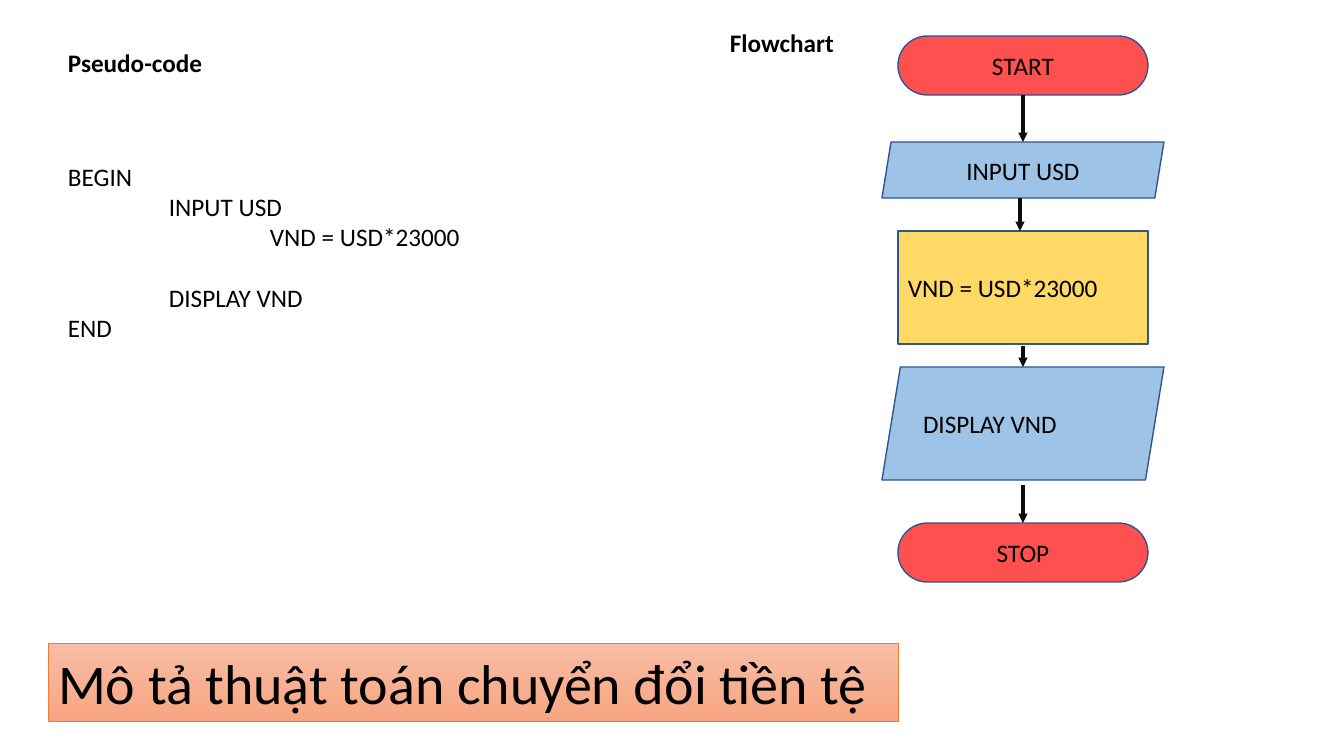
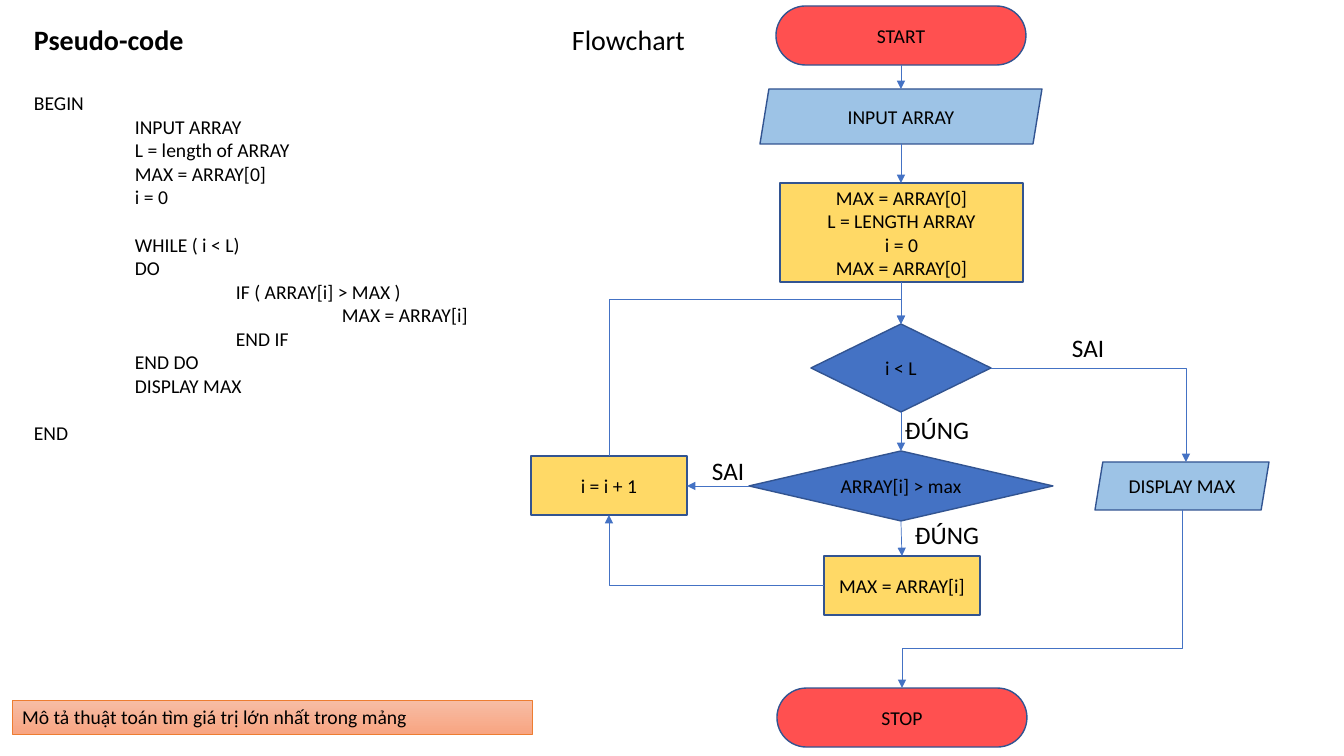
from lxml.etree import SubElement
from pptx import Presentation
from pptx.dml.color import RGBColor as RGB
from pptx.enum.shapes import MSO_CONNECTOR as LINK, MSO_SHAPE as SHAPE
from pptx.enum.text import MSO_ANCHOR as ANCHOR, MSO_AUTO_SIZE as FIT, PP_ALIGN as ALIGN
from pptx.oxml.ns import qn
from pptx.util import Pt

# Shared look
UNIT = 914400 / 100.8
TAB = 101
FONT = "Calibri"
HUE = {
    "text": "000000", "edge": "325491", "red": "FF5050", "blue": "9DC3E6",
    "gold": "FFD966", "navy": "4472C4", "ink": "0D0D0D",
    "pale": "F7BDA5", "peach": "F8A582", "rust": "ED7D31",
}
KINDS = {
    "end": (SHAPE.ROUNDED_RECTANGLE, "red", 0.5),
    "data": (SHAPE.PARALLELOGRAM, "blue", 0.163),
    "step": (SHAPE.RECTANGLE, "gold", None),
    "test": (SHAPE.DIAMOND, "navy", None),
}


def write(frame, lines, size, bold=False, align=ALIGN.LEFT):
    """Fill a frame with lines of (indent in tabs, text, space before in points)."""
    for n, (depth, text, gap) in enumerate(lines):
        para = frame.paragraphs[0] if n == 0 else frame.add_paragraph()
        para.alignment = align
        if depth:
            para._p.get_or_add_pPr().set("marL", str(round(depth * TAB * UNIT)))
        if gap:
            para.space_before = Pt(gap)
        run = para.add_run()
        run.text = text
        font = run.font
        font.name, font.size, font.bold = FONT, Pt(size), bold
        font.color.rgb = RGB.from_string(HUE["text"])


def arrow(slide, ends, hue, width, bend=None, turn=0, adj=None):
    """Draw an arrow; a bent one is framed around its centre, then turned."""
    x1, y1, x2, y2 = ends
    if bend:
        w, h = abs(x2 - x1), abs(y2 - y1)
        if turn % 180:
            w, h = h, w
        midx, midy = (x1 + x2) / 2, (y1 + y2) / 2
        x1, y1, x2, y2 = midx - w / 2, midy - h / 2, midx + w / 2, midy + h / 2
    link = slide.shapes.add_connector(
        LINK.ELBOW if bend else LINK.STRAIGHT,
        *(round(v * UNIT) for v in (x1, y1, x2, y2)))
    link.line.color.rgb = RGB.from_string(HUE[hue])
    link.line.width = Pt(width)
    SubElement(link.get_or_add_ln(), qn("a:tailEnd"), type="triangle")
    prop = link._element.spPr
    SubElement(prop, qn("a:effectLst"))
    if bend:
        prop.find(qn("a:xfrm")).set("rot", str(turn * 60000))
        geom = prop.find(qn("a:prstGeom"))
        geom.set("prst", bend)
        if adj:
            SubElement(geom.find(qn("a:avLst")), qn("a:gd"),
                       name="adj1", fmla=f"val {adj}")


# Content of each slide; places are left, top, width, height
PAGES = [
    {
        "title": ("Mô tả thuật toán chuyển đổi tiền tệ", (48, 643, 850, 78), 40),
        "size": 18,
        "code": ((58, 156, 662, 224), [
            (0, "BEGIN", 0), (1, "INPUT USD", 0), (2, "VND = USD*23000", 0),
            (1, "DISPLAY VND", 22), (0, "END", 0)]),
        "notes": [
            ("Pseudo-code", (58, 42, 155, 40), 18, True),
            ("Flowchart", (720, 22, 125, 40), 18, True)],
        "nodes": [
            ("end", (898, 36, 250, 59), ["START"], ALIGN.CENTER),
            ("data", (882, 142, 282, 56), ["INPUT USD"], ALIGN.CENTER),
            ("step", (898, 231, 250, 113), ["VND = USD*23000"], ALIGN.LEFT),
            ("data", (882, 367, 282, 113), ["DISPLAY VND"], ALIGN.LEFT),
            ("end", (898, 523, 250, 59), ["STOP"], ALIGN.CENTER)],
        "pen": ("ink", 2.25),
        "links": [
            ((1023, 95, 1023, 142),), ((1020, 198, 1020, 231),),
            ((1023, 346, 1023, 367),), ((1023, 485, 1023, 523),)],
    },
    {
        "title": ("Mô tả thuật toán tìm giá trị lớn nhất trong mảng",
                  (12, 700, 520, 34), 14),
        "size": 14,
        "code": ((24, 86, 544, 367), [
            (0, "BEGIN", 0), (1, "INPUT ARRAY", 0), (1, "L = length of ARRAY", 0),
            (1, "MAX = ARRAY[0]", 0), (1, "i = 0", 0), (1, "WHILE ( i < L)", 17),
            (1, "DO", 0), (2, "IF ( ARRAY[i] > MAX )", 0),
            (3.05, "MAX = ARRAY[i]", 0), (2, "END IF", 0), (1, "END DO", 0),
            (1, "DISPLAY MAX", 0), (0, "END", 17)]),
        "notes": [
            ("Pseudo-code", (24, 18, 173, 44), 20, True),
            ("Flowchart", (562, 18, 139, 44), 20, False),
            ("SAI", (702, 450, 58, 40), 18, False),
            ("SAI", (1062, 327, 58, 40), 18, False),
            ("ĐÚNG", (895, 409, 88, 40), 18, False),
            ("ĐÚNG", (905, 514, 88, 40), 18, False)],
        "nodes": [
            ("end", (776, 6, 250, 59), ["START"], ALIGN.CENTER),
            ("data", (760, 89, 282, 55), ["INPUT ARRAY"], ALIGN.CENTER),
            ("step", (780, 183, 243, 99),
             ["MAX = ARRAY[0]", "L = LENGTH ARRAY", "i = 0", "MAX = ARRAY[0]"],
             ALIGN.CENTER),
            ("test", (811, 324, 180, 88), ["i < L"], ALIGN.CENTER),
            ("test", (749, 451, 304, 70), ["ARRAY[i] > max"], ALIGN.CENTER),
            ("step", (531, 456, 156, 59), ["i = i + 1"], ALIGN.CENTER),
            ("step", (824, 556, 156, 59), ["MAX = ARRAY[i]"], ALIGN.CENTER),
            ("data", (1095, 462, 174, 48), ["DISPLAY MAX"], ALIGN.CENTER),
            ("end", (777, 688, 250, 59), ["STOP"], ALIGN.CENTER)],
        "pen": ("navy", 0.5),
        "links": [
            ((901, 65, 901, 89),), ((901, 144, 901, 183),),
            ((901, 282, 901, 324),), ((901, 412, 901, 451),),
            ((901, 521, 902, 556),), ((749, 486, 687, 486),),
            ((991, 368, 1186, 462), "bentConnector2"),
            ((609, 456, 901, 324), "bentConnector3", 270, 119000),
            ((824, 585, 609, 515), "bentConnector2", 180),
            ((1182, 510, 902, 688), "bentConnector3", 90, 77800)],
    },
]

deck = Presentation()
deck.slide_width, deck.slide_height = round(1344 * UNIT), round(756 * UNIT)

for page in PAGES:
    slide = deck.slides.add_slide(deck.slide_layouts[5])
    shapes = slide.shapes

    # Title band
    text, at, size = page["title"]
    band = shapes.title
    band.left, band.top, band.width, band.height = (round(v * UNIT) for v in at)
    band.fill.gradient()
    band.fill.gradient_angle = 270
    for stop, hue in zip(band.fill.gradient_stops, ("pale", "peach")):
        stop.color.rgb = RGB.from_string(HUE[hue])
    band.line.color.rgb = RGB.from_string(HUE["rust"])
    band.line.width = Pt(0.5)
    frame = band.text_frame
    frame.word_wrap, frame.auto_size = True, FIT.NONE
    frame.vertical_anchor = ANCHOR.TOP
    write(frame, [(0, text, 0)], size)

    # Pseudo-code
    at, lines = page["code"]
    frame = shapes.add_textbox(*(round(v * UNIT) for v in at)).text_frame
    frame.word_wrap = True
    write(frame, lines, page["size"])

    # Flowchart nodes
    for kind, at, lines, align in page["nodes"]:
        form, hue, adj = KINDS[kind]
        node = shapes.add_shape(form, *(round(v * UNIT) for v in at))
        node.shadow.inherit = False
        if adj:
            node.adjustments[0] = adj
        node.fill.solid()
        node.fill.fore_color.rgb = RGB.from_string(HUE[hue])
        node.line.color.rgb = RGB.from_string(HUE["edge"])
        node.line.width = Pt(1)
        frame = node.text_frame
        frame.word_wrap, frame.vertical_anchor = True, ANCHOR.MIDDLE
        write(frame, [(0, line, 0) for line in lines], page["size"], align=align)

    # Arrows
    for ends, *bend in page["links"]:
        arrow(slide, ends, *page["pen"], *bend)

    # Headings and branch labels
    for text, at, size, bold in page["notes"]:
        frame = shapes.add_textbox(*(round(v * UNIT) for v in at)).text_frame
        frame.word_wrap, frame.auto_size = False, FIT.NONE
        write(frame, [(0, text, 0)], size, bold)

deck.save("out.pptx")
